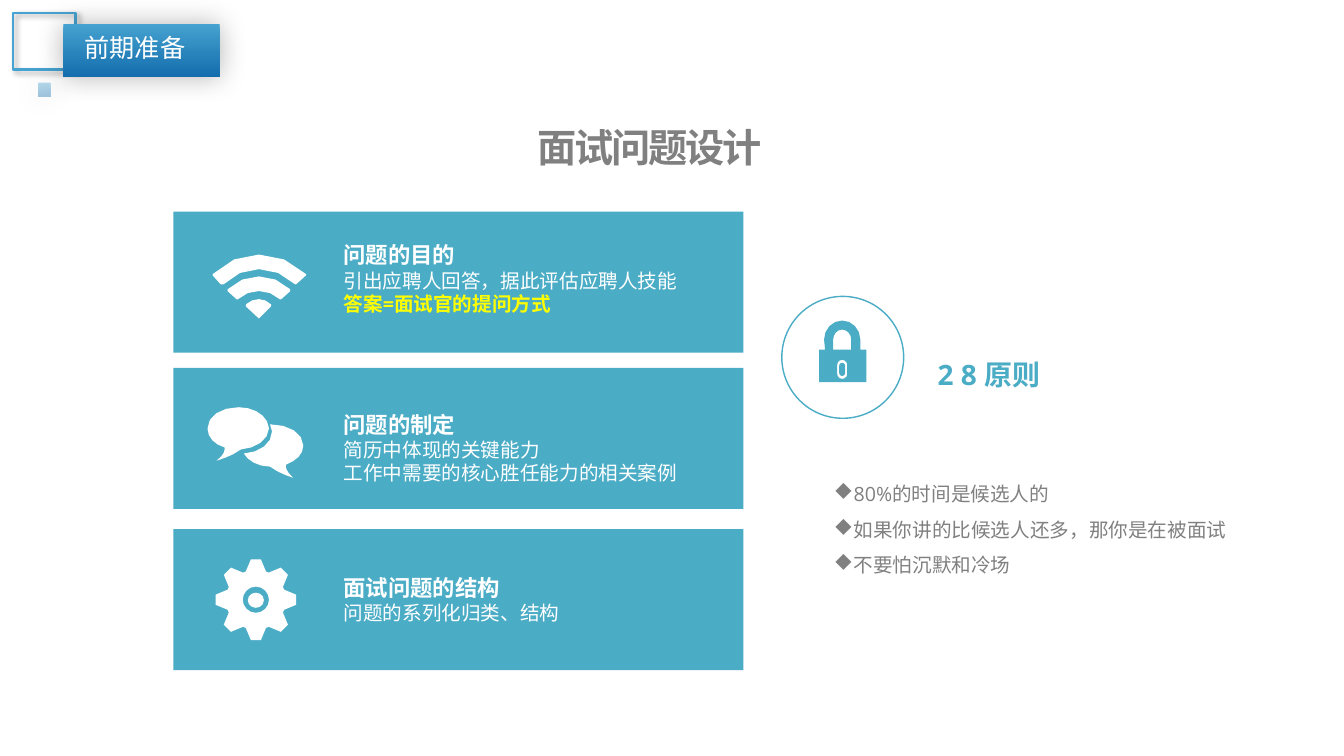
from dataclasses import dataclass
from math import cos, radians, sin
from typing import Any, NamedTuple

from lxml.etree import SubElement
from pptx import Presentation
from pptx.dml.color import RGBColor as RGB
from pptx.enum.shapes import MSO_SHAPE as Shape
from pptx.enum.text import MSO_ANCHOR as Anchor, MSO_AUTO_SIZE as AutoSize, PP_ALIGN as Align
from pptx.oxml.ns import qn
from pptx.util import Inches, Pt

Point = tuple[float, float]
Contour = list[Point]


@dataclass(frozen=True)
class Theme:
    teal: str = "4BACC6"
    white: str = "FFFFFF"
    yellow: str = "FFFF00"
    grey: str = "808080"
    sky: str = "46A2D0"
    navy: str = "146DAD"
    black: str = "000000"
    latin: str = "Open Sans"
    cjk: str = "Noto Sans CJK SC"
    symbol: str = "Wingdings"
    title: int = 28
    principle: int = 20
    badge: int = 18
    heading: int = 16
    body: int = 14


THEME = Theme()


class Line(NamedTuple):
    text: str
    size: int
    color: str
    bold: bool = False
    spacing: float = 1.0
    bullet: str = ""
    tracking: int = 0
    font: str = THEME.latin


class Box(NamedTuple):
    left: float
    top: float
    width: float
    height: float


class Card(NamedTuple):
    top: float
    text_top: float
    text_width: float
    lines: list[Line]


class Shadow(NamedTuple):
    blur: float
    distance: float
    angle: int


# Outline helpers
def trace(start: Point, *steps: tuple[float, ...]) -> Contour:
    """Join points (2 numbers) and cubic curves (6 numbers)."""
    outline = [start]
    for step in steps:
        if len(step) == 2:
            outline.append(step)
            continue
        knots = [outline[-1], step[:2], step[2:4], step[4:]]
        for t in (0.25, 0.5, 0.75, 1):
            weights = ((1 - t) ** 3, 3 * t * (1 - t) ** 2, 3 * t * t * (1 - t), t ** 3)
            outline.append(tuple(sum(w * k[axis] for w, k in zip(weights, knots)) for axis in (0, 1)))
    return outline


def arc(x: float, y: float, rx: float, ry: float, start: int, end: int, parts: int = 8) -> Contour:
    angles = [radians(start + (end - start) * n / parts) for n in range(parts + 1)]
    return [(x + rx * cos(a), y + ry * sin(a)) for a in angles]


def slot(x: float, top: float, bottom: float, radius: float) -> Contour:
    return arc(x, top, radius, radius, 180, 360, 6) + arc(x, bottom, radius, radius, 0, 180, 6)


def gear(x: float, y: float) -> Contour:
    tooth = [(-0.1, -0.28), (-0.05, -0.4), (0.05, -0.4), (0.1, -0.28)]
    turns = [radians(45 * n) for n in range(8)]
    return [(x + dx * cos(a) - dy * sin(a), y + dx * sin(a) + dy * cos(a))
            for a in turns for dx, dy in tooth]


# Drawing helpers
def set_values(target: Any, values: dict[str, Any]) -> None:
    for name, value in values.items():
        setattr(target, name, value)


def add_shape(shapes: Any, kind: Shape, box: Box, fill: str = "", line: str = "", width: float = 1) -> Any:
    shape = shapes.add_shape(kind, *map(Inches, box))
    shape.shadow.inherit = False
    if fill:
        shape.fill.solid()
        shape.fill.fore_color.rgb = RGB.from_string(fill)
    else:
        shape.fill.background()
    if line:
        shape.line.color.rgb = RGB.from_string(line)
        shape.line.width = Pt(width)
    else:
        shape.line.fill.background()
    return shape


def add_icon(shapes: Any, color: str, *contours: Contour) -> None:
    first, *holes = [[(Inches(x), Inches(y)) for x, y in contour] for contour in contours]
    builder = shapes.build_freeform(*first[0])
    builder.add_line_segments(first[1:])
    for hole in holes:
        builder.move_to(*hole[0])
        builder.add_line_segments(hole[1:])
    icon = builder.convert_to_shape()
    icon.shadow.inherit = False
    icon.fill.solid()
    icon.fill.fore_color.rgb = RGB.from_string(color)
    icon.line.fill.background()


def add_shadow(shape: Any, shadow: Shadow) -> None:
    effects = shape._element.spPr.find(qn("a:effectLst"))
    outer = SubElement(effects, qn("a:outerShdw"), blurRad=str(Pt(shadow.blur)),
                       dist=str(Pt(shadow.distance)), dir=str(shadow.angle * 60000), rotWithShape="0")
    tint = SubElement(outer, qn("a:srgbClr"), val=THEME.black)
    SubElement(tint, qn("a:alpha"), val="30000")


def add_gradient_tile(shapes: Any, box: Box, opacity: int = 100) -> None:
    tile = add_shape(shapes, Shape.ROUNDED_RECTANGLE, box)
    tile.adjustments[0] = 0
    tile.fill.gradient()
    tile.fill.gradient_angle = 270
    for stop, color, position in zip(tile.fill.gradient_stops, (THEME.sky, THEME.navy), (0, 1)):
        stop.color.rgb = RGB.from_string(color)
        stop.position = position
    if opacity < 100:
        for tint in tile._element.spPr.iter(qn("a:srgbClr")):
            SubElement(tint, qn("a:alpha"), val=str(opacity * 1000))
    add_shadow(tile, Shadow(20, 0, 0))


def add_text(shapes: Any, box: Box, lines: list[Line], inset: Point = (0.07, 0.03),
             align: Align = Align.LEFT, **frame_values: Any) -> None:
    frame = shapes.add_textbox(*map(Inches, box)).text_frame
    side, edge = map(Inches, inset)
    set_values(frame, {"word_wrap": True, "auto_size": AutoSize.SHAPE_TO_FIT_TEXT,
                       "margin_left": side, "margin_right": side,
                       "margin_top": edge, "margin_bottom": edge} | frame_values)
    for index, line in enumerate(lines):
        paragraph = frame.add_paragraph() if index else frame.paragraphs[0]
        set_values(paragraph, {"alignment": align, "line_spacing": line.spacing})
        if line.bullet:
            props = paragraph._p.get_or_add_pPr()
            props.set("marL", "0")
            props.set("indent", str(Inches(-0.38)))
            SubElement(props, qn("a:buFont"), typeface=THEME.symbol, charset="2")
            SubElement(props, qn("a:buChar"), char=line.bullet)
        run = paragraph.add_run()
        run.text = line.text
        set_values(run.font, {"name": line.font, "size": Pt(line.size), "bold": line.bold})
        run.font.color.rgb = RGB.from_string(line.color)
        SubElement(run.font._element, qn("a:ea"), typeface=THEME.cjk)
        if line.tracking:
            run.font._element.set("spc", str(line.tracking))


def heading(text: str) -> Line:
    return Line(text, THEME.heading, THEME.white, bold=True, spacing=2.0)


def detail(text: str) -> Line:
    return Line(text, THEME.body, THEME.white)


CARDS = [
    Card(2.1, 2.1, 3.61, [heading("问题的目的"), detail("引出应聘人回答，据此评估应聘人技能"),
                          Line("答案=面试官的提问方式", THEME.body, THEME.yellow, bold=True)]),
    Card(3.65, 3.78, 4.11, [heading("问题的制定"), detail("简历中体现的关键能力"),
                            detail("工作中需要的核心胜任能力的相关案例")]),
    Card(5.25, 5.4, 3.33, [heading("面试问题的结构"), detail("问题的系列化归类、结构")]),
]
DIAMOND = "u"  # diamond in the symbol font
RULES = ["80%的时间是候选人的", "如果你讲的比候选人还多，那你是在被面试", "不要怕沉默和冷场"]

WIFI = [
    trace((2.69, 3.02), (2.62, 2.95, 2.52, 2.95, 2.44, 3.02), (2.44, 3.04), (2.57, 3.16), (2.69, 3.04)),
    trace((2.88, 2.87), (2.71, 2.7, 2.43, 2.7, 2.26, 2.87), (2.26, 2.89), (2.35, 2.97), (2.36, 2.97),
          (2.48, 2.86, 2.66, 2.86, 2.78, 2.97), (2.79, 2.97), (2.88, 2.89)),
    trace((3.04, 2.72), (2.78, 2.46, 2.36, 2.46, 2.11, 2.72), (2.11, 2.73), (2.19, 2.82), (2.22, 2.82),
          (2.41, 2.62, 2.73, 2.62, 2.93, 2.82), (2.94, 2.82), (3.04, 2.73)),
]
BUBBLES = [
    trace((3.01, 4.42), (3.01, 4.3, 2.87, 4.21, 2.68, 4.21), (2.7, 4.28),
          (2.7, 4.4, 2.58, 4.49, 2.42, 4.5), (2.46, 4.57, 2.56, 4.63, 2.68, 4.63),
          (2.77, 4.7, 2.91, 4.74, 2.91, 4.74), (2.84, 4.68, 2.83, 4.63, 2.84, 4.61),
          (2.94, 4.57, 3.01, 4.51, 3.01, 4.42)),
    trace((2.65, 4.18), (2.61, 4.1, 2.5, 4.04, 2.37, 4.04), (2.19, 4.04, 2.06, 4.13, 2.06, 4.25),
          (2.06, 4.34, 2.13, 4.41, 2.23, 4.44), (2.23, 4.47, 2.23, 4.51, 2.15, 4.57),
          (2.15, 4.57, 2.3, 4.53, 2.39, 4.46), (2.54, 4.45, 2.67, 4.36, 2.67, 4.25)),
]
PADLOCK = [
    [(8.13, 3.79), (8.13, 3.47), (8.19, 3.47), *arc(8.36, 3.37, 0.18, 0.19, 180, 360),
     (8.54, 3.47), (8.6, 3.47), (8.6, 3.79)],
    slot(8.36, 3.62, 3.71, 0.05),
    [(8.27, 3.47), *arc(8.36, 3.37, 0.09, 0.1, 180, 360), (8.45, 3.47)],
]


def main() -> None:
    deck = Presentation()
    set_values(deck, {"slide_width": Inches(13.34), "slide_height": Inches(7.5)})
    shapes = deck.slides.add_slide(deck.slide_layouts[6]).shapes

    # Question cards
    for card in CARDS:
        add_shape(shapes, Shape.RECTANGLE, Box(1.72, card.top, 5.66, 1.4), THEME.teal)
    for card in CARDS:
        add_text(shapes, Box(3.34, card.text_top, card.text_width, 1.08), card.lines)

    # Card icons
    bubbles, cog, wifi = (shapes.add_group_shape().shapes for _ in range(3))
    for icon, contours in ((bubbles, BUBBLES), (wifi, WIFI)):
        for contour in contours:
            add_icon(icon, THEME.white, contour)
    add_icon(cog, THEME.white, gear(2.54, 5.95), arc(2.54, 5.95, 0.13, 0.13, 360, 0, 16))
    add_shape(cog, Shape.OVAL, Box(2.46, 5.88, 0.16, 0.15), THEME.white)

    # 28 principle
    add_text(shapes, Box(8.99, 3.18, 1.65, 0.64),
             [Line("2 8 原则", THEME.principle, THEME.teal, bold=True, spacing=2.0)], align=Align.CENTER)
    add_shape(shapes, Shape.OVAL, Box(7.76, 2.94, 1.21, 1.21), line=THEME.teal)
    padlock = shapes.add_group_shape().shapes
    add_icon(padlock, THEME.teal, *PADLOCK)
    add_icon(padlock, THEME.teal, slot(8.36, 3.63, 3.7, 0.03))

    # Title and rules
    add_text(shapes, Box(2.81, 1.2, 7.28, 0.52),
             [Line("面试问题设计", THEME.title, THEME.grey, bold=True, tracking=-150)],
             (0.05, 0.03), Align.CENTER, vertical_anchor=Anchor.MIDDLE)
    add_text(shapes, Box(8.18, 4.62, 4.47, 1.26),
             [Line(rule, THEME.body, THEME.grey, spacing=1.5, bullet=DIAMOND) for rule in RULES],
             (0.1, 0.05), auto_size=AutoSize.NONE)

    # Section badge
    badge = shapes.add_group_shape().shapes
    outline = add_shape(badge, Shape.RECTANGLE, Box(0.13, 0.13, 0.62, 0.56), line=THEME.sky, width=2)
    add_shadow(outline, Shadow(4, 3, 45))
    add_gradient_tile(badge, Box(0.63, 0.24, 1.55, 0.52))
    add_gradient_tile(badge, Box(0.38, 0.82, 0.12, 0.14), opacity=40)
    add_text(badge, Box(0.74, 0.27, 1.21, 0.4),
             [Line("前期准备", THEME.badge, THEME.white, font=THEME.cjk)], (0.1, 0.05), word_wrap=False)

    deck.save("out.pptx")


if __name__ == "__main__":
    main()
